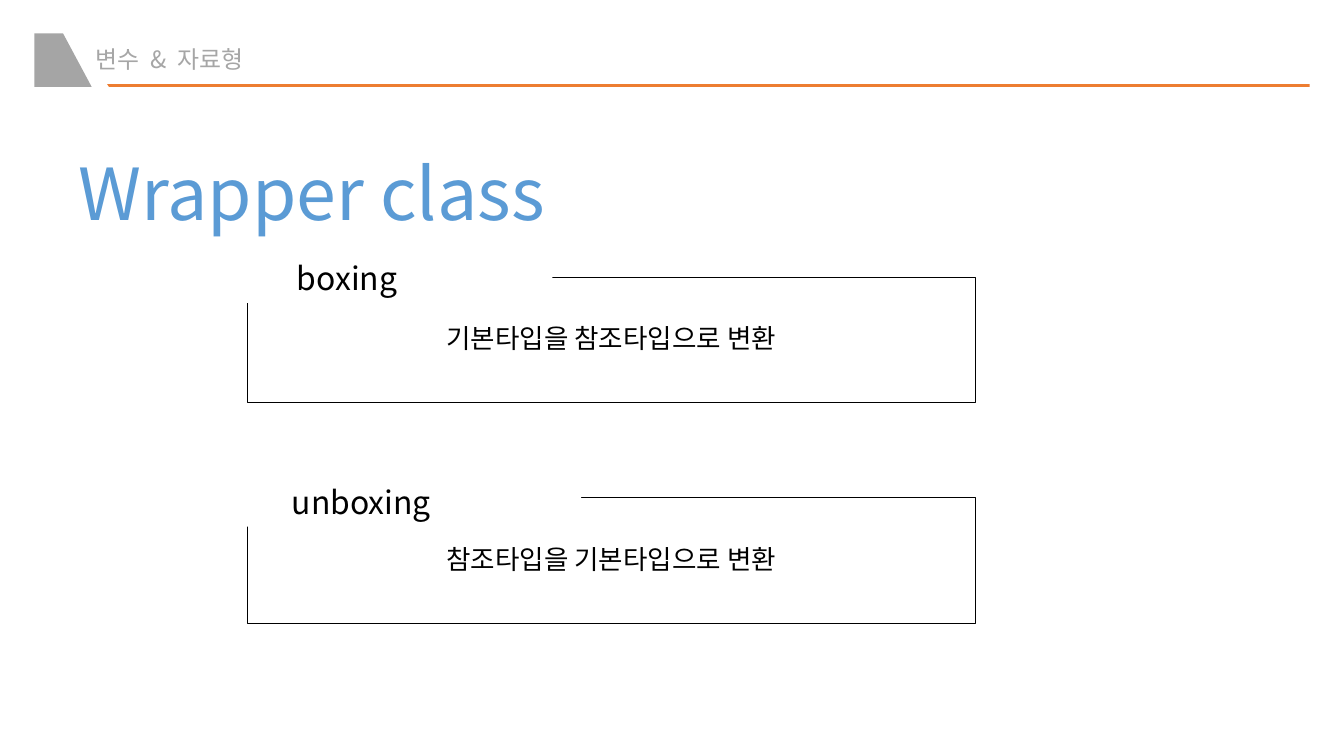
import pptx
import pptx.dml.color
import pptx.enum.shapes
import pptx.enum.text
import pptx.oxml.ns
import pptx.util
from lxml import etree

COLS, ROWS = 140.6, 79.1
CELL = pptx.util.Inches(0.1)
FONT = "Noto Sans CJK KR"
HUES = {
    "bar": "ED7D31",
    "tab": "A5A5A5",
    "topic": "A6A6A6",
    "title": "5B9BD5",
    "ink": "000000",
    "paper": "FFFFFF",
}
ALIGN = pptx.enum.text.PP_ALIGN
ANCHOR = pptx.enum.text.MSO_ANCHOR
PANELS = [
    ("boxing", "기본타입을 참조타입으로 변환", 43, 3.2),
    ("unboxing", "참조타입을 기본타입으로 변환", 46, 2.9),
]


def grid(*cells):
    return [round(cell * CELL) for cell in cells]


def hue(name):
    return pptx.dml.color.RGBColor.from_string(HUES[name])


def apply(item, form):
    for key, value in form.items():
        setattr(item, key, value)


def paint(shape, fill=None, line=None):
    shape.shadow.inherit = False
    for part, name in ((shape.fill, fill), (shape.line.fill, line)):
        if name:
            part.solid()
            part.fore_color.rgb = hue(name)
        else:
            part.background()
    if line:
        shape.line.width = 0


def write(shape, words, size, color, frame, para, gap=0):
    apply(shape.text_frame, {"word_wrap": True, **frame})
    first = shape.text_frame.paragraphs[0]
    apply(first, para)
    for word in words:
        run = first.add_run()
        run.text = word
        apply(run.font, {"name": FONT, "size": pptx.util.Pt(size)})
        run.font.color.rgb = hue(color)
        props = run._r.get_or_add_rPr()
        etree.SubElement(props, pptx.oxml.ns.qn("a:ea"), typeface=FONT)
        if word == " " and gap:
            props.set("spc", str(gap * 100))


def trace(slide, points, fill):
    spots = [grid(*point) for point in points]
    form = slide.shapes.build_freeform(*spots[0])
    form.add_line_segments(spots[1:], close=True)
    paint(form.convert_to_shape(), fill)


def header(slide, box, words):
    x, y, w, h = box
    end, base = x + w, y + h
    bar = x + 7.6
    trace(slide, [(bar, base - 0.3), (end, base - 0.3),
                  (end, base), (bar + 0.2, base)], "bar")
    trace(slide, [(x + 3, y), (x + 6, base), (x, base), (x, y)], "tab")
    topic = slide.shapes.add_textbox(*grid(x + 6.4, y + 1.2, 31.8, 3))
    sides = ("margin_left", "margin_top", "margin_right", "margin_bottom")
    frame = {**dict.fromkeys(sides, 0), "vertical_anchor": ANCHOR.MIDDLE}
    write(topic, words, 18, "topic", frame, {"alignment": ALIGN.LEFT}, gap=4)


def title(slide, box, text):
    shape = slide.shapes.add_textbox(*grid(*box))
    para = {"alignment": ALIGN.CENTER, "line_spacing": 1.2}
    write(shape, [text], 54, "title", {"vertical_anchor": ANCHOR.TOP}, para)


def panel(slide, box, label, text, width, lift):
    x, y, w, h = box
    kind = pptx.enum.shapes.MSO_SHAPE.RECTANGLE
    para = {"alignment": ALIGN.CENTER, "line_spacing": 1.2}
    body = slide.shapes.add_shape(kind, *grid(*box))
    paint(body, line="ink")
    frame = {"vertical_anchor": ANCHOR.TOP, "margin_top": 4 * CELL}
    write(body, [text], 20, "ink", frame, para)
    tag = slide.shapes.add_shape(kind, *grid(x - 11.1, y - lift, width, 5.9))
    paint(tag, fill="paper")
    write(tag, [label], 24, "ink", {"vertical_anchor": ANCHOR.TOP}, para)


def main():
    deck = pptx.Presentation()
    deck.slide_width, deck.slide_height = grid(COLS, ROWS)
    slide = deck.slides.add_slide(deck.slide_layouts[6])
    header(slide, (3.6, 3.5, 133.4, 5.6), ["변수", " ", "&", " ", "자료형"])
    title(slide, (4.4, 13.3, 56.4, 11.9), "Wrapper class")
    for row, parts in enumerate(PANELS):
        panel(slide, (25.9, 29 + row * 23.1, 76.1, 13.1), *parts)
    deck.save("out.pptx")


if __name__ == "__main__":
    main()
